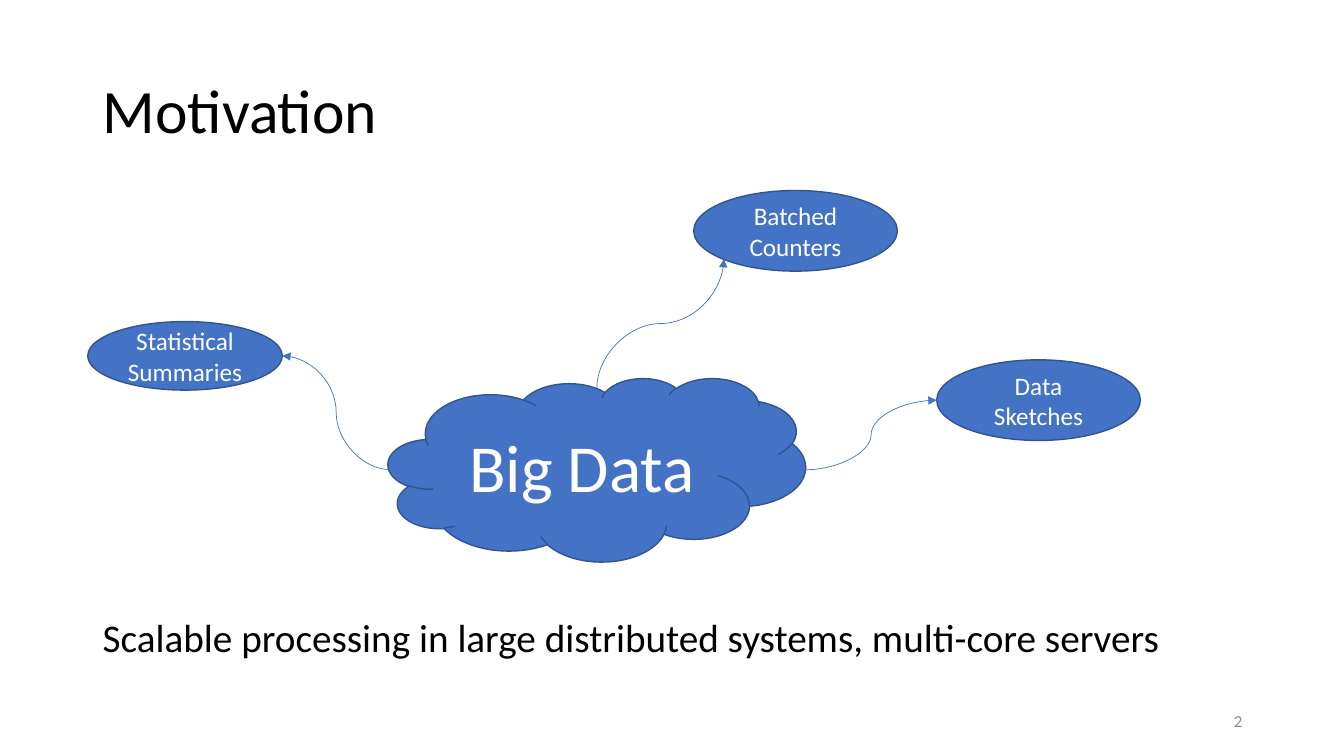
from lxml import etree
from pptx import Presentation
from pptx.dml.color import RGBColor
from pptx.enum.shapes import MSO_CONNECTOR, MSO_SHAPE as SHAPE
from pptx.enum.text import MSO_ANCHOR as ANCHOR, PP_ALIGN as ALIGN
from pptx.oxml.ns import qn
from pptx.util import Inches, Pt

BLUE, DARK_BLUE, WHITE, BLACK, GRAY = "4472C4", "325491", "FFFFFF", "000000", "8C8C8C"


def color(hex_code):
    return RGBColor.from_string(hex_code)


def write(frame, text, size=18, ink=BLACK, align=ALIGN.LEFT, anchor=ANCHOR.TOP, spacing=None):
    frame.word_wrap = True
    frame.vertical_anchor = anchor
    paragraph = frame.paragraphs[0]
    paragraph.alignment = align
    if spacing:
        paragraph.line_spacing = spacing
    run = paragraph.add_run()
    run.text = text
    run.font.name = "Calibri"
    run.font.size = Pt(size)
    run.font.color.rgb = color(ink)


def add_label(slide, box, text, **style):
    label = slide.shapes.add_textbox(*map(Inches, box))
    write(label.text_frame, text, **style)


def add_bubble(slide, outline, box, text, size=18):
    bubble = slide.shapes.add_shape(outline, *map(Inches, box))
    bubble.shadow.inherit = False
    bubble.fill.solid()
    bubble.fill.fore_color.rgb = color(BLUE)
    bubble.line.color.rgb = color(DARK_BLUE)
    bubble.line.width = Pt(1)
    write(bubble.text_frame, text, size=size, ink=WHITE, align=ALIGN.CENTER, anchor=ANCHOR.MIDDLE)


def add_curve(slide, start, end, upright=False):
    (x1, y1), (x2, y2) = start, end
    if upright:
        mid_x, mid_y = (x1 + x2) / 2, (y1 + y2) / 2
        half_w, half_h = (y1 - y2) / 2, (x2 - x1) / 2
        x1, y1 = mid_x + half_w, mid_y + half_h
        x2, y2 = mid_x - half_w, mid_y - half_h
    curve = slide.shapes.add_connector(MSO_CONNECTOR.CURVE, *map(Inches, (x1, y1, x2, y2)))
    curve.line.color.rgb = color(BLUE)
    curve.line.width = Pt(0.5)
    properties = curve._element.spPr
    if upright:
        properties.find(qn("a:xfrm")).set("rot", "5400000")
    etree.SubElement(properties.find(qn("a:ln")), qn("a:tailEnd"), type="triangle")
    etree.SubElement(properties, qn("a:effectLst"))


def add_cloud_diagram(slide, box):
    left, top, width, height = box
    middle = top + height / 2
    summaries = (left - 2.98, top - 0.56, 1.93, 0.68)
    counters = (left + 3.03, top - 1.86, 2.02, 0.8)
    sketches = (left + 5.44, top - 0.18, 2.02, 0.8)

    add_bubble(slide, SHAPE.CLOUD, box, "Big Data", size=48)
    add_bubble(slide, SHAPE.OVAL, summaries, "Statistical Summaries")
    add_bubble(slide, SHAPE.OVAL, counters, "Batched Counters")
    add_bubble(slide, SHAPE.OVAL, sketches, "Data Sketches")

    add_curve(slide, (left + 0.02, middle),
              (summaries[0] + summaries[2], summaries[1] + summaries[3] / 2))
    add_curve(slide, (left + width / 2, top + 0.1),
              (counters[0] + 0.3, counters[1] + 0.68), upright=True)
    add_curve(slide, (left + width, middle), (sketches[0], sketches[1] + sketches[3] / 2))


def main():
    deck = Presentation()
    deck.slide_width, deck.slide_height = Inches(13.33), Inches(7.5)
    slide = deck.slides.add_slide(deck.slide_layouts[6])
    add_label(slide, (0.92, 0.4, 11.5, 1.45), "Motivation",
              size=44, anchor=ANCHOR.MIDDLE, spacing=0.9)
    add_cloud_diagram(slide, (3.85, 3.75, 4.14, 1.82))
    add_label(slide, (0.92, 6.04, 11.09, 0.57),
              "Scalable processing in large distributed systems, multi-core servers", size=28)
    add_label(slide, (9.42, 6.95, 3, 0.4), "2",
              size=12, ink=GRAY, align=ALIGN.RIGHT, anchor=ANCHOR.MIDDLE)
    deck.save("out.pptx")


if __name__ == "__main__":
    main()
